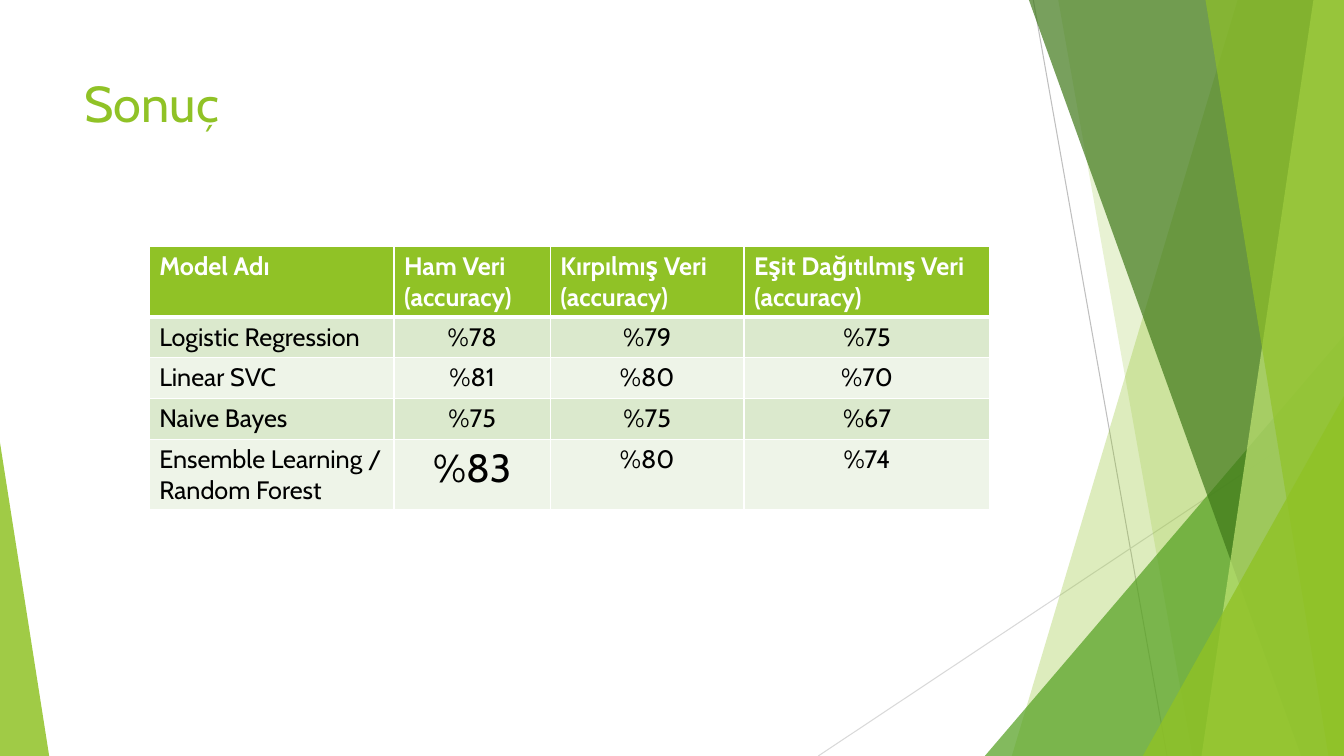
"""Build the results slide: model accuracies beside a fan of green facets."""
from dataclasses import dataclass

from lxml import etree
from pptx import Presentation
from pptx import util as u
from pptx.dml import color
from pptx.enum import shapes, text
from pptx.oxml import ns

Cm = u.Cm
WIDTH, HEIGHT = 33.87, 19.05


@dataclass(frozen=True)
class Theme:
    font: str = "Cabin"
    title_size: int = 36
    body_size: int = 18
    best_size: int = 28
    green: str = "90C226"
    leaf: str = "54A021"
    forest: str = "3F7819"
    lime: str = "C0E474"
    bands: tuple = ("DBE9CD", "EEF4E8")
    white: str = "FFFFFF"
    black: str = "000000"
    steep_line: str = "BFBFBF"
    shallow_line: str = "D9D9D9"


THEME = Theme()

HEADERS = ["Model Adı", "Ham Veri (accuracy)", "Kırpılmış Veri (accuracy)",
           "Eşit Dağıtılmış Veri (accuracy)"]
RESULTS = [
    ["Logistic Regression", "%78", "%79", "%75"],
    ["Linear SVC", "%81", "%80", "%70"],
    ["Naive Bayes", "%75", "%75", "%67"],
    ["Ensemble Learning / Random Forest", "%83", "%80", "%74"],
]
BEST = "%83"
COLUMN_WIDTHS = [6.17, 3.94, 4.88, 6.2]
ROW_HEIGHTS = [1.78, 1.03, 1.03, 1.03, 1.78]


def rgb(value):
    return color.RGBColor.from_string(value)


def paint(sp, fill, opacity):
    """Give a shape a translucent fill without line or shadow."""
    sp.shadow.inherit = False
    sp.line.fill.background()
    sp.fill.solid()
    sp.fill.fore_color.rgb = rgb(fill)
    clr = sp.fill._xPr.find(f".//{ns.qn('a:srgbClr')}")
    etree.SubElement(clr, ns.qn("a:alpha"), val=str(opacity * 1000))


def add_line(s, start, end, line_color):
    """Draw a thin straight line between two points."""
    line = s.shapes.add_connector(shapes.MSO_CONNECTOR.STRAIGHT,
                                  *map(Cm, start + end))
    line.line.color.rgb = rgb(line_color)
    line.line.width = u.Pt(0.75)
    etree.SubElement(line._element.spPr, ns.qn("a:effectLst"))


def add_facet(s, top_x, bottom_x, fill, opacity):
    """Fill the area between a slanted edge and the right side of the slide."""
    builder = s.shapes.build_freeform(Cm(top_x), 0)
    corners = [(WIDTH, 0), (WIDTH, HEIGHT), (bottom_x, HEIGHT)]
    builder.add_line_segments([(Cm(x), Cm(y)) for x, y in corners], close=True)
    paint(builder.convert_to_shape(), fill, opacity)


def add_triangle(s, left, top, width, apex, fill, opacity):
    """Add a triangle that stands on the bottom of the slide."""
    sp = s.shapes.add_shape(shapes.MSO_SHAPE.ISOSCELES_TRIANGLE, Cm(left),
                            Cm(top), Cm(width), Cm(HEIGHT - top))
    sp.adjustments[0] = apex
    paint(sp, fill, opacity)


def add_run(p, words, size, font_color, bold=False):
    """Append a run in the theme font."""
    r = p.add_run()
    r.text = words
    r.font.name = THEME.font
    r.font.size = u.Pt(size)
    r.font.bold = bold
    r.font.color.rgb = rgb(font_color)


def add_title(s, words):
    """Add the slide title."""
    box = s.shapes.add_textbox(Cm(1.88), Cm(1.7), Cm(23.88), Cm(3.66))
    tf = box.text_frame
    tf.word_wrap = True
    tf.vertical_anchor = text.MSO_ANCHOR.TOP
    add_run(tf.paragraphs[0], words, THEME.title_size, THEME.green)


def add_borders(cell, row):
    """Edge a cell in white, with a heavy rule under the header."""
    for side in "LRTB":
        heavy = (row, side) in ((0, "B"), (1, "T"))
        ln = etree.SubElement(cell._tc.get_or_add_tcPr(), ns.qn(f"a:ln{side}"),
                              w=str(u.Pt(3 if heavy else 1)))
        fill = etree.SubElement(ln, ns.qn("a:solidFill"))
        etree.SubElement(fill, ns.qn("a:srgbClr"), val=THEME.white)


def fill_cell(cell, row, col, words):
    """Style one table cell and write its text."""
    header = row == 0
    add_borders(cell, row)
    cell.fill.solid()
    cell.fill.fore_color.rgb = rgb(
        THEME.green if header else THEME.bands[(row - 1) % 2])
    p = cell.text_frame.paragraphs[0]
    if not header and col > 0:
        p.alignment = text.PP_ALIGN.CENTER
    add_run(p, words, THEME.best_size if words == BEST else THEME.body_size,
            THEME.white if header else THEME.black, header)


def add_results(s):
    """Add the table of model accuracies."""
    rows = [HEADERS] + RESULTS
    table = s.shapes.add_table(len(rows), len(HEADERS), Cm(3.76), Cm(6.2),
                               Cm(sum(COLUMN_WIDTHS)),
                               Cm(sum(ROW_HEIGHTS))).table
    for column, width in zip(table.columns, COLUMN_WIDTHS):
        column.width = Cm(width)
    for i, (height, values) in enumerate(zip(ROW_HEIGHTS, rows)):
        table.rows[i].height = Cm(height)
        for j, words in enumerate(values):
            fill_cell(table.cell(i, j), i, j, words)


def add_backdrop(s):
    """Layer the lines, facets and triangles behind the content."""
    add_line(s, (26.04, 0), (29.41, HEIGHT), THEME.steep_line)
    add_line(s, (WIDTH, 10.24), (20.62, HEIGHT), THEME.shallow_line)
    add_facet(s, 31.19, 25.5, THEME.green, 30)
    add_facet(s, 26.67, 30.05, THEME.green, 20)
    add_triangle(s, 24.82, 8.46, 9.05, 1, THEME.leaf, 72)
    add_facet(s, 25.93, 32.79, THEME.forest, 70)
    add_facet(s, 33.1, 30.28, THEME.lime, 70)
    add_facet(s, 30.38, 33.48, THEME.green, 65)
    add_triangle(s, 28.8, 9.98, 5.07, 1, THEME.green, 80)
    add_triangle(s, 0, 11.15, 1.24, 0, THEME.green, 85)


def main():
    prs = Presentation()
    prs.slide_width, prs.slide_height = Cm(WIDTH), Cm(HEIGHT)
    s = prs.slides.add_slide(prs.slide_layouts[6])
    add_backdrop(s)
    add_title(s, "Sonuç")
    add_results(s)
    prs.save("out.pptx")


if __name__ == "__main__":
    main()
